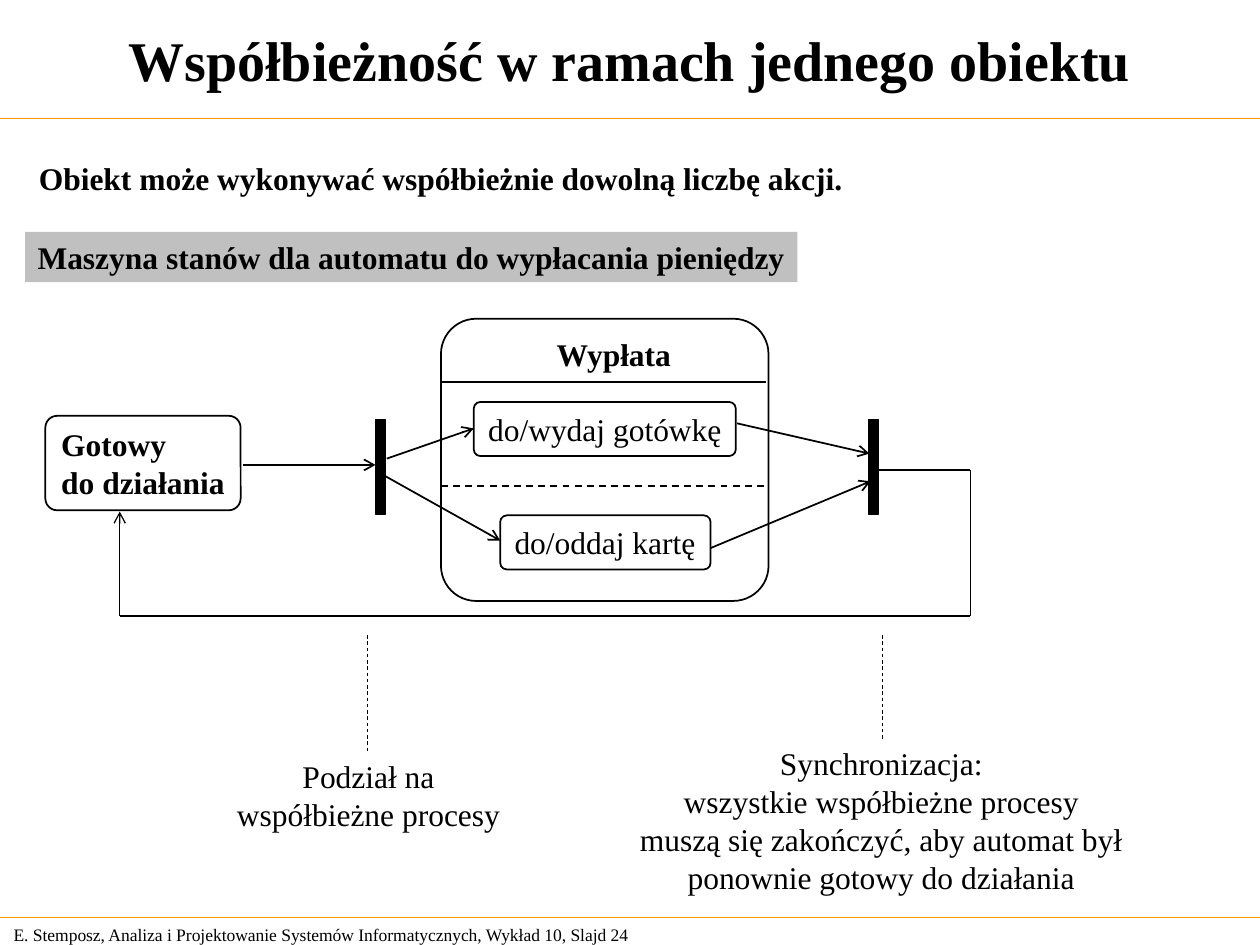
from lxml import etree
from pptx import Presentation
from pptx.dml.color import RGBColor
from pptx.enum.dml import MSO_LINE
from pptx.enum.shapes import MSO_CONNECTOR, MSO_SHAPE
from pptx.enum.text import MSO_ANCHOR, MSO_AUTO_SIZE, PP_ALIGN
from pptx.oxml.ns import qn
from pptx.util import Inches, Pt

RECT, ROUND = MSO_SHAPE.RECTANGLE, MSO_SHAPE.ROUNDED_RECTANGLE
STRAIGHT, DASH = MSO_CONNECTOR.STRAIGHT, MSO_LINE.DASH
LEFT, CENTER = PP_ALIGN.LEFT, PP_ALIGN.CENTER
TOP, MIDDLE = MSO_ANCHOR.TOP, MSO_ANCHOR.MIDDLE
BLACK, GRAY, ORANGE = "000000", "C0C0C0", "FF9900"


def color(value):
    return RGBColor.from_string(value)


class Diagram:
    """Draws the elements of a state diagram on one slide in a common style."""

    font = "Times New Roman"

    def __init__(self, slide):
        self.s = slide

    def fill_text(self, sp, lines, size=18, bold=False, align=LEFT, anchor=TOP, wrap=False):
        tf = sp.text_frame
        tf.text = "\n".join(lines)
        tf.word_wrap = wrap
        tf.auto_size = MSO_AUTO_SIZE.NONE
        tf.vertical_anchor = anchor
        for p in tf.paragraphs:
            p.alignment = align
            p.font.name = self.font
            p.font.size = Pt(size)
            p.font.bold = bold
            p.font.color.rgb = color(BLACK)

    def title(self, box, text):
        sp = self.s.shapes.title
        sp.left, sp.top, sp.width, sp.height = map(Inches, box)
        self.fill_text(sp, [text], size=32, bold=True, align=CENTER, anchor=MIDDLE, wrap=True)

    def text(self, box, lines, **style):
        self.fill_text(self.s.shapes.add_textbox(*map(Inches, box)), lines, **style)

    def shape(self, kind, box, lines=(), fill=None, line=BLACK, width=1, bold=False):
        sp = self.s.shapes.add_shape(kind, *map(Inches, box))
        sp.shadow.inherit = False
        if kind == ROUND:
            sp.adjustments[0] = 0.125
        if fill:
            sp.fill.solid()
            sp.fill.fore_color.rgb = color(fill)
        else:
            sp.fill.background()
        if line:
            sp.line.color.rgb = color(line)
            sp.line.width = Pt(width)
        else:
            sp.line.fill.background()
        if lines:
            self.fill_text(sp, lines, bold=bold)

    def line(self, ends, width=1, stroke=BLACK, dash=None, arrow=False):
        cn = self.s.shapes.add_connector(STRAIGHT, *map(Inches, ends))
        cn.line.color.rgb = color(stroke)
        cn.line.width = Pt(width)
        if dash:
            cn.line.dash_style = dash
        sp_pr = cn.element.spPr
        if arrow:
            etree.SubElement(sp_pr.find(qn("a:ln")), qn("a:tailEnd"), type="arrow")
        etree.SubElement(sp_pr, qn("a:effectLst"))


def main():
    prs = Presentation()
    prs.slide_width, prs.slide_height = Inches(10), Inches(7.5)
    d = Diagram(prs.slides.add_slide(prs.slide_layouts[5]))

    d.text((0.01, 7.28, 5.24, 0.27),
           ["E. Stemposz, Analiza i Projektowanie Systemów Informatycznych, Wykład 10, Slajd 24"],
           size=10, anchor=MIDDLE)
    for y in (0.94, 7.28):
        d.line((0, y, 10, y), width=0.75, stroke=ORANGE)
    d.title((0.04, 0.04, 9.92, 0.85), "Współbieżność w ramach jednego obiektu")
    d.text((0.21, 1.21, 6.58, 0.4),
           ["Obiekt może wykonywać współbieżnie dowolną liczbę akcji."], bold=True)
    d.shape(RECT, (0.2, 1.84, 6.13, 0.4),
            ["Maszyna stanów dla automatu do wypłacania pieniędzy"],
            fill=GRAY, line=None, bold=True)

    d.shape(ROUND, (0.36, 3.3, 1.55, 0.75), ["Gotowy", "do działania"], bold=True)
    d.shape(ROUND, (3.5, 2.53, 2.6, 2.24))
    d.text((4.32, 2.61, 1.12, 0.4), ["Wypłata"], bold=True)
    d.line((3.5, 3.03, 6.08, 3.03))
    d.line((3.5, 3.86, 6.1, 3.86), dash=DASH)
    d.shape(ROUND, (3.76, 3.19, 2.08, 0.43), ["do/wydaj gotówkę"])
    d.shape(ROUND, (3.97, 4.09, 1.67, 0.43), ["do/oddaj kartę"])

    for x in (2.98, 6.89):
        d.shape(RECT, (x, 3.33, 0.08, 0.75), fill=BLACK, width=0.75)
    transitions = [
        (1.93, 3.69, 2.98, 3.69),
        (3.07, 3.64, 3.76, 3.4),
        (3.06, 3.78, 3.97, 4.29),
        (5.85, 3.36, 6.9, 3.6),
        (5.64, 4.35, 6.91, 3.82),
    ]
    for ends in transitions:
        d.line(ends, arrow=True)

    route = [(6.96, 3.73), (7.7, 3.73), (7.7, 4.89), (0.95, 4.89), (0.95, 4.06)]
    for start, end in zip(route, route[1:]):
        d.line(start + end, width=0.75, arrow=end == route[-1])

    for x, bottom in ((2.92, 5.96), (7, 5.88)):
        d.line((x, 5.04, x, bottom), width=0.5, dash=DASH)
    d.text((1.78, 5.96, 2.29, 0.7), ["Podział na", "współbieżne procesy"], align=CENTER)
    d.text((4.98, 5.86, 4.03, 1.3),
           ["Synchronizacja:", "wszystkie współbieżne procesy",
            "muszą się zakończyć, aby automat był", "ponownie gotowy do działania"],
           align=CENTER)

    prs.save("out.pptx")


if __name__ == "__main__":
    main()
